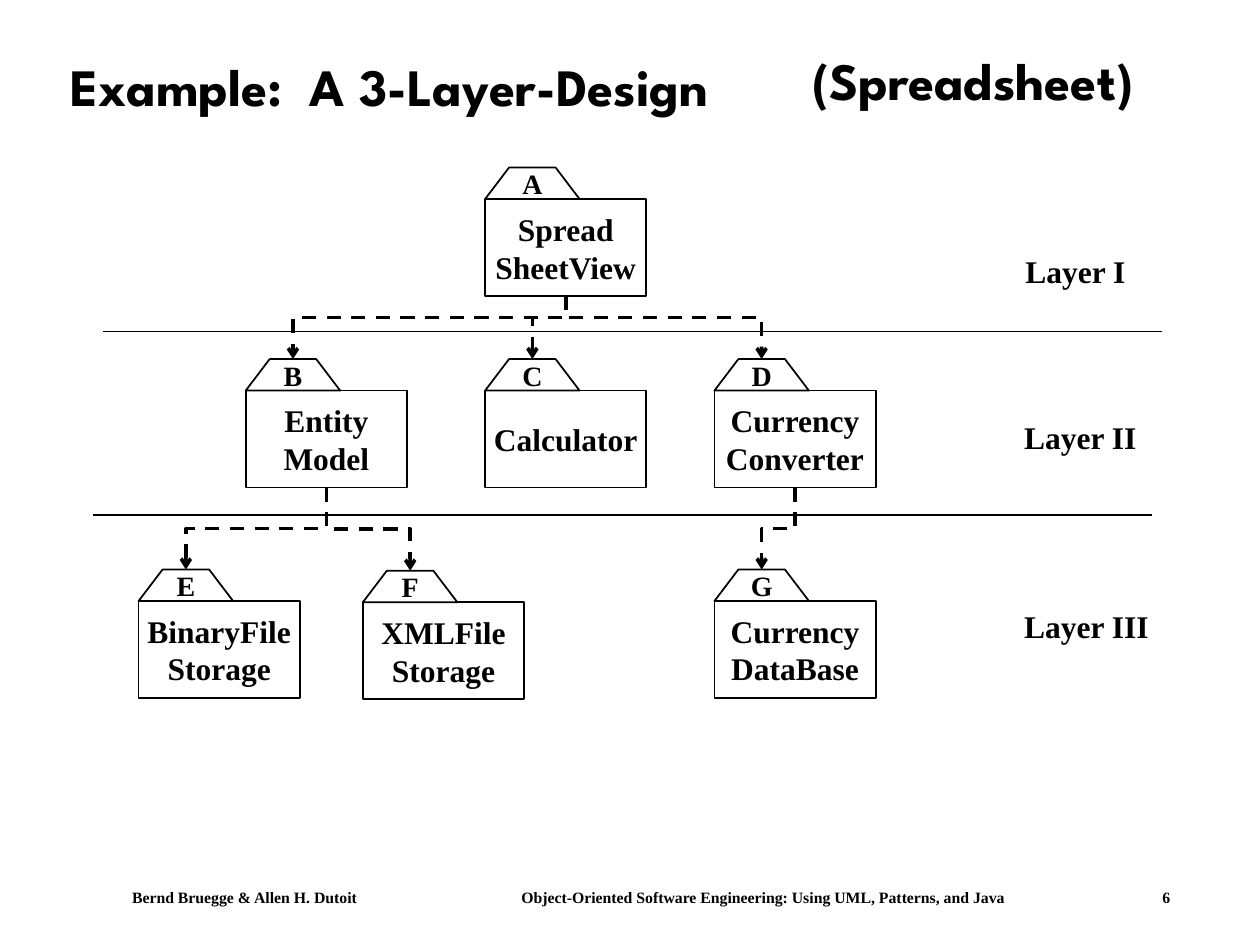
import pptx
import pptx.dml.color
import pptx.enum.dml
import pptx.enum.shapes
import pptx.enum.text
import pptx.oxml.ns
import pptx.util
from lxml import etree

Inches = pptx.util.Inches
ALIGN = pptx.enum.text.PP_ALIGN
ANCHOR = pptx.enum.text.MSO_ANCHOR
FIT = pptx.enum.text.MSO_AUTO_SIZE
KIND = pptx.enum.shapes.MSO_CONNECTOR

BLACK, WHITE = "000000", "FFFFFF"
SERIF, HEAD = "Times New Roman", "League Spartan"
BOX_W, BOX_H = 1.28, 0.77
TAB_W, TAB_H, SLANT = 0.75, 0.25, 0.19

# Letter: left, top of the tab, text
PACKS = {
    "A": (3.85, 1.33, "Spread\vSheetView"),
    "B": (1.95, 2.85, "Entity\nModel"),
    "C": (3.85, 2.85, "Calculator"),
    "D": (5.67, 2.85, "Currency\nConverter"),
    "E": (1.10, 4.52, "BinaryFile\vStorage"),
    "F": (2.88, 4.53, "XMLFile\vStorage"),
    "G": (5.67, 4.52, "Currency\vDataBase"),
}
# Parent, child, share of the way down at which the link bends
LINKS = [("A", "B", 0.34), ("A", "C", 0.34), ("A", "D", 0.34),
         ("D", "G", 0.5), ("B", "F", 0.5), ("B", "E", 0.5)]
LABELS = [("Layer I", 8.04, 1.95, 1.0), ("Layer II", 8.03, 3.27, 1.09),
          ("Layer III", 8.03, 4.77, 1.19)]
RULES = [(0.82, 2.63), (0.74, 4.09)]
RULE_W = 8.4


def color(code):
    return pptx.dml.color.RGBColor.from_string(code)


def add_sub(parent, tag, **attrs):
    return etree.SubElement(parent, pptx.oxml.ns.qn(tag), attrs)


def apply(item, form):
    for name, value in form.items():
        setattr(item, name, value)


def write(shape, text, size, face=SERIF, para=None, **frame):
    """Fill a shape with bold text; para and frame hold format values."""
    apply(shape.text_frame, frame)
    shape.text_frame.text = text
    form = {"size": pptx.util.Pt(size), "name": face, "bold": True}
    for line in shape.text_frame.paragraphs:
        apply(line, para or {})
        for run in line.runs:
            apply(run.font, form)
            run.font.color.rgb = color(BLACK)


def paint(shape):
    shape.shadow.inherit = False
    shape.fill.solid()
    shape.fill.fore_color.rgb = color(WHITE)
    shape.line.color.rgb = color(BLACK)
    shape.line.width = pptx.util.Pt(1)


def add_text(slide, text, left, top, width, height, size, **form):
    box = slide.shapes.add_textbox(*map(Inches, (left, top, width, height)))
    write(box, text, size, **form)
    return box


def add_line(slide, kind, start, end, weight):
    line = slide.shapes.add_connector(kind, *map(Inches, start + end))
    line.line.color.rgb = color(BLACK)
    line.line.width = pptx.util.Pt(weight)
    add_sub(line._element.spPr, "a:effectLst")
    return line


def add_link(slide, parent, child, bend):
    """Run a dashed arrow from a package's foot down to a child's tab."""
    left, top, _ = PACKS[parent]
    x1, y1 = left + BOX_W / 2, top + TAB_H + BOX_H
    left, y2, _ = PACKS[child]
    x2 = left + TAB_W / 2
    # An elbow leaves sideways, so lay it flat and turn it about its centre.
    mid_x, mid_y = (x1 + x2) / 2, (y1 + y2) / 2
    half_w, half_h = (y2 - y1) / 2, abs(x2 - x1) / 2
    side = 1 if x2 > x1 else -1
    link = add_line(slide, KIND.ELBOW,
                    (mid_x + side * half_w, mid_y - half_h),
                    (mid_x - side * half_w, mid_y + half_h), 2)
    link.line.dash_style = pptx.enum.dml.MSO_LINE.DASH
    add_sub(link.line._get_or_add_ln(), "a:tailEnd", type="arrow")
    props = link._element.spPr
    turn = 270 if side > 0 else 90
    props.find(pptx.oxml.ns.qn("a:xfrm")).set("rot", str(turn * 60000))
    guides = props.find(".//" + pptx.oxml.ns.qn("a:avLst"))
    add_sub(guides, "a:gd", name="adj1", fmla=f"val {round(bend * 100000)}")


def add_pack(slide, letter, left, top, text):
    """Draw a package: a named box under a lettered tab."""
    base = top + TAB_H
    box = slide.shapes.add_shape(
        pptx.enum.shapes.MSO_SHAPE.RECTANGLE,
        *map(Inches, (left, base, BOX_W, BOX_H)))
    build = slide.shapes.build_freeform(Inches(left), Inches(base))
    points = [(left + SLANT, top), (left + TAB_W - SLANT, top),
              (left + TAB_W, base)]
    build.add_line_segments([tuple(map(Inches, p)) for p in points])
    tab = build.convert_to_shape()
    for shape, words, size in ((box, text, 18), (tab, letter, 16)):
        paint(shape)
        write(shape, words, size, para={"alignment": ALIGN.CENTER},
              word_wrap=False, vertical_anchor=ANCHOR.MIDDLE)


def add_head(slide):
    title = slide.shapes.title
    apply(title, {"left": Inches(0.46), "top": Inches(0.24),
                  "width": Inches(8.92), "height": Inches(0.94)})
    write(title, "Example:  A 3-Layer-Design", 30, HEAD,
          {"alignment": ALIGN.LEFT, "line_spacing": 0.9},
          vertical_anchor=ANCHOR.MIDDLE, auto_size=FIT.NONE)
    add_text(slide, "(Spreadsheet)", 6.18, 0.33, 3.08, 0.6, 30, face=HEAD,
             para={"alignment": ALIGN.CENTER}, word_wrap=False,
             vertical_anchor=ANCHOR.MIDDLE)


def add_foot(slide):
    parts = ("Bernd Bruegge & Allen H. Dutoit",
             "Object-Oriented Software Engineering: "
             "Using UML, Patterns, and Java", "6")
    foot = add_text(slide, "\t".join(parts), 0.95, 7, 8.8, 0.25, 9,
                    word_wrap=True)
    props = foot.text_frame.paragraphs[0]._p.get_or_add_pPr()
    stops = add_sub(props, "a:tabLst")
    for place, side in ((3.09, "l"), (8.24, "r")):
        add_sub(stops, "a:tab", pos=str(Inches(place)), algn=side)


def main():
    deck = pptx.Presentation()
    deck.slide_width, deck.slide_height = Inches(10), Inches(7.5)
    slide = deck.slides.add_slide(deck.slide_layouts[5])
    add_head(slide)
    for left, top in RULES:
        add_line(slide, KIND.STRAIGHT, (left, top), (left + RULE_W, top), 1)
    for text, left, top, width in LABELS:
        add_text(slide, text, left, top, width, 0.4, 18, word_wrap=False)
    for link in LINKS:
        add_link(slide, *link)
    for letter, pack in PACKS.items():
        add_pack(slide, letter, *pack)
    add_foot(slide)
    deck.save("out.pptx")


if __name__ == "__main__":
    main()
